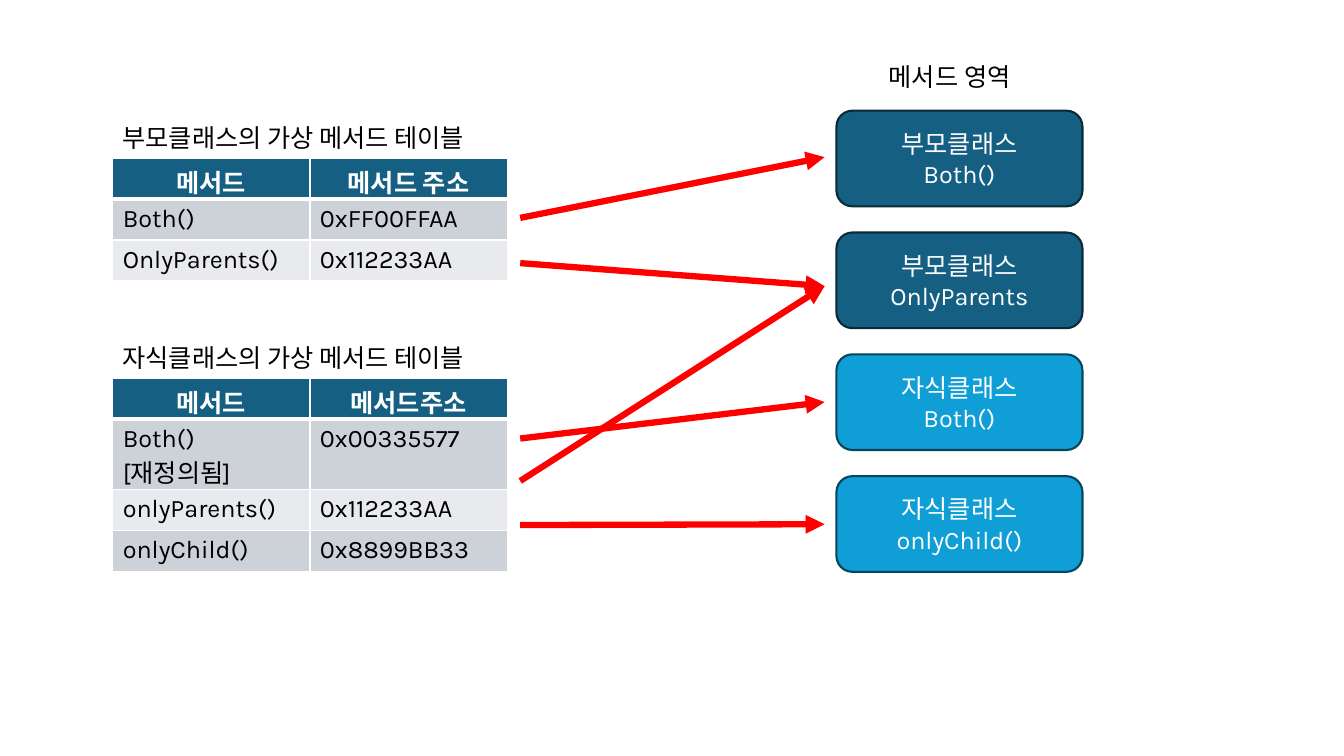
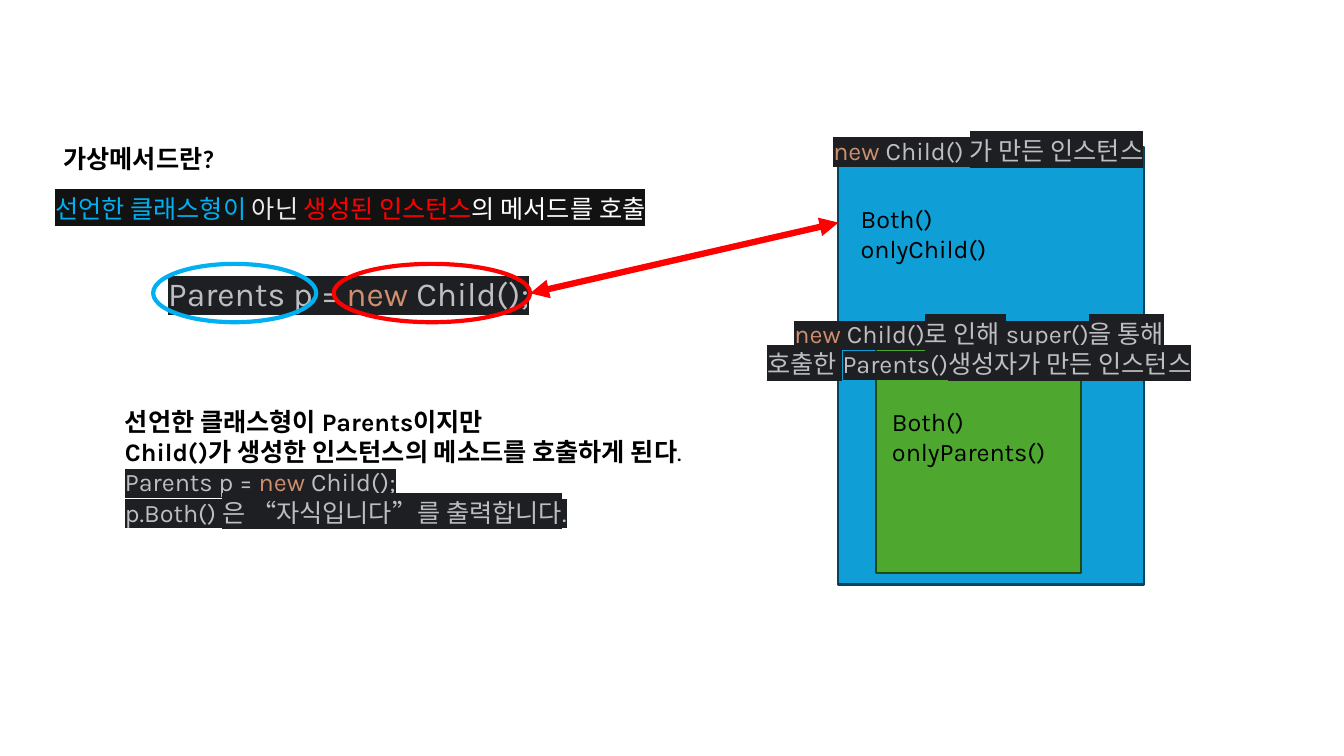
from dataclasses import dataclass
from lxml.etree import SubElement
from pptx import Presentation
from pptx.dml.color import RGBColor
from pptx.enum.shapes import MSO_CONNECTOR, MSO_SHAPE
from pptx.enum.text import MSO_ANCHOR, MSO_AUTO_SIZE, PP_ALIGN
from pptx.oxml import parse_xml
from pptx.oxml.ns import nsdecls, qn
from pptx.util import Cm, Pt

BLACK = RGBColor(0x00, 0x00, 0x00)
WHITE = RGBColor(0xFF, 0xFF, 0xFF)
RED = RGBColor(0xFF, 0x00, 0x00)
SKY = RGBColor(0x00, 0xB0, 0xF0)
TEAL = RGBColor(0x15, 0x60, 0x82)
TEAL_EDGE = RGBColor(0x09, 0x2A, 0x39)
BLUE = RGBColor(0x0F, 0x9E, 0xD5)
BLUE_EDGE = RGBColor(0x07, 0x45, 0x5D)
GREEN = RGBColor(0x4E, 0xA7, 0x2E)
GREEN_EDGE = RGBColor(0x22, 0x49, 0x14)
BANDS = (RGBColor(0xCC, 0xD2, 0xD8), RGBColor(0xE8, 0xEA, 0xED))
KEYWORD = RGBColor(0xCF, 0x8E, 0x6D)
CODE = RGBColor(0xBC, 0xBE, 0xC4)
PALE = RGBColor(0xEC, 0xEC, 0xEC)
EDITOR = RGBColor(0x1E, 0x1F, 0x22)
INK = RGBColor(0x12, 0x12, 0x12)


@dataclass
class Span:
    text: str
    color: RGBColor = CODE
    shade: RGBColor = EDITOR


NEW = Span("new ", KEYWORD)

TABLE_LEFT, TABLE_WIDTH, ROW_HEIGHT = 2.84, 9.94, 1.03
CAPTION_RISE = 1.03
METHOD_TABLES = [
    (3.99, "부모클래스의 가상 메서드 테이블", [
        ("메서드", "메서드 주소"),
        ("Both()", "0xFF00FFAA"),
        ("OnlyParents()", "0x112233AA"),
    ]),
    (9.53, "자식클래스의 가상 메서드 테이블", [
        ("메서드", "메서드주소"),
        ("Both()\v[재정의됨]", "0x00335577"),
        ("onlyParents()", "0x112233AA"),
        ("onlyChild()", "0x8899BB33"),
    ]),
]

METHOD_LEFT, METHOD_TOP, METHOD_PITCH = 21.08, 2.79, 3.07
METHOD_SIZE = (6.2, 2.41)
METHODS = [
    ("부모클래스", "Both()", TEAL, TEAL_EDGE),
    ("부모클래스", "OnlyParents", TEAL, TEAL_EDGE),
    ("자식클래스", "Both()", BLUE, BLUE_EDGE),
    ("자식클래스", "onlyChild()", BLUE, BLUE_EDGE),
]
ARROW_LEFT, ARROW_RIGHT = 13.11, 20.78
ARROW_HEIGHTS = [(5.49, 3.96), (6.63, 7.21), (11.05, 10.13), (12.12, 7.21), (13.23, 13.21)]

INSTANCES = [
    (21.13, 3.71, 7.7, 11.02, BLUE, BLUE_EDGE),
    (22.07, 8.61, 5.18, 5.82, GREEN, GREEN_EDGE),
]
RINGS = [(3.86, 6.65, 4.11, 1.47, SKY), (8.41, 6.65, 4.95, 1.47, RED)]

INSTANCE_TEXTS = [
    ((20.75, 3.28, 16.94, 1.02), [[NEW, Span("Child() 가 만든 인스턴스")]], {}),
    ((16.21, 7.9, 16.94, 1.8), [
        [NEW, Span("Child()로 인해 super()을 통해")],
        [Span("호출한 Parents()생성자가 만든 인스턴스")],
    ], {"align": PP_ALIGN.CENTER}),
    ((21.44, 5.0, 6.07, 1.8), ["Both()", "onlyChild()"], {}),
    ((22.23, 10.11, 6.07, 1.8), ["Both()", "onlyParents()"], {}),
    ((3.99, 6.76, 16.94, 1.27), [[Span("Parents p = "), NEW, Span("Child();")]], {"size": 24}),
]
EXPLANATION_TEXTS = [
    ((1.14, 4.75, 18.11, 1.02), [[
        Span("선언한 클래스형이 ", SKY, INK),
        Span("아닌 ", PALE, INK),
        Span("생성된 인스턴스", RED, INK),
        Span("의 메서드를 호출", WHITE, INK),
    ]], {"font": "Calibri"}),
    ((1.35, 3.48, 18.85, 1.02), ["가상메서드란?"], {"font": "Calibri", "bold": True}),
    ((2.9, 10.11, 15.77, 4.11), [
        "선언한 클래스형이 Parents이지만",
        ["Child()가 생성한 인스턴스의 메소드를 호출하게 된다", Span(".", BLACK, None)],
        [Span("Parents p = "), NEW, Span("Child();")],
        [Span("p.Both() 은 “자식입니다”를 출력합니다.")],
    ], {"bold": True}),
]


def add_span(para, span):
    run = para.add_run()
    if isinstance(span, str):
        run.text = span
        return
    run.text = span.text
    run.font.color.rgb = span.color
    run.font.bold = False
    if span.shade is not None:
        highlight = SubElement(run.font.fill._xPr, qn("a:highlight"))
        SubElement(highlight, qn("a:srgbClr"), val=str(span.shade))


def write(frame, lines, size=18, font="Karla", color=BLACK, bold=False, align=PP_ALIGN.LEFT):
    for index, line in enumerate(lines):
        para = frame.paragraphs[0] if index == 0 else frame.add_paragraph()
        para.alignment = align
        para.font.size = Pt(size)
        para.font.name = font
        para.font.bold = bold
        para.font.color.rgb = color
        if isinstance(line, str):
            para.text = line
        else:
            for span in line:
                add_span(para, span)


def add_text(page, place, lines, **style):
    box = page.shapes.add_textbox(*map(Cm, place))
    box.text_frame.word_wrap = True
    box.text_frame.auto_size = MSO_AUTO_SIZE.SHAPE_TO_FIT_TEXT
    write(box.text_frame, lines, **style)


def add_figure(page, preset, place, fill, edge, width=1.5):
    shape = page.shapes.add_shape(preset, *map(Cm, place))
    shape.shadow.inherit = False
    if fill is None:
        shape.fill.background()
    else:
        shape.fill.solid()
        shape.fill.fore_color.rgb = fill
    shape.line.color.rgb = edge
    shape.line.width = Pt(width)
    return shape


def add_arrow(page, start, end, both_ends=False):
    arrow = page.shapes.add_connector(MSO_CONNECTOR.STRAIGHT, *map(Cm, start + end))
    arrow.line.color.rgb = RED
    arrow.line.width = Pt(4.5)
    outline = arrow.line._get_or_add_ln()
    for tag in ("a:headEnd", "a:tailEnd") if both_ends else ("a:tailEnd",):
        SubElement(outline, qn(tag), type="triangle")
    SubElement(arrow._element.spPr, qn("a:effectLst"))


def set_borders(cell, bottom):
    properties = cell._tc.get_or_add_tcPr()
    widths = {"lnL": 1, "lnR": 1, "lnT": 1, "lnB": bottom}
    for index, (side, width) in enumerate(widths.items()):
        properties.insert(index, parse_xml(
            f'<a:{side} {nsdecls("a")} w="{Pt(width)}"><a:solidFill>'
            f'<a:srgbClr val="{WHITE}"/></a:solidFill></a:{side}>'))


def add_method_table(page, top, caption, rows):
    add_text(page, (TABLE_LEFT, top - CAPTION_RISE, TABLE_WIDTH, 1.02), [caption])
    place = (TABLE_LEFT, top, TABLE_WIDTH, ROW_HEIGHT * len(rows))
    table = page.shapes.add_table(len(rows), len(rows[0]), *map(Cm, place)).table
    for row_index, row in enumerate(rows):
        header = row_index == 0
        for column_index, text in enumerate(row):
            cell = table.cell(row_index, column_index)
            cell.fill.solid()
            cell.fill.fore_color.rgb = TEAL if header else BANDS[(row_index - 1) % 2]
            set_borders(cell, 3 if header else 1)
            write(cell.text_frame, [text], color=WHITE if header else BLACK, bold=header,
                  align=PP_ALIGN.CENTER if header else PP_ALIGN.LEFT)


def build_method_tables(page):
    for top, caption, rows in METHOD_TABLES:
        add_method_table(page, top, caption, rows)
    add_text(page, (22.15, 1.42, 4.88, 1.02), ["메서드 영역"])
    for index, (owner, method, fill, edge) in enumerate(METHODS):
        place = (METHOD_LEFT, METHOD_TOP + index * METHOD_PITCH) + METHOD_SIZE
        shape = add_figure(page, MSO_SHAPE.ROUNDED_RECTANGLE, place, fill, edge)
        shape.text_frame.vertical_anchor = MSO_ANCHOR.MIDDLE
        write(shape.text_frame, [owner, method], color=WHITE, align=PP_ALIGN.CENTER)
    for start, end in ARROW_HEIGHTS:
        add_arrow(page, (ARROW_LEFT, start), (ARROW_RIGHT, end))


def build_virtual_method(page):
    for *place, fill, edge in INSTANCES:
        add_figure(page, MSO_SHAPE.RECTANGLE, place, fill, edge)
    for place, lines, style in INSTANCE_TEXTS:
        add_text(page, place, lines, **style)
    for *place, edge in RINGS:
        add_figure(page, MSO_SHAPE.OVAL, place, None, edge, 3)
    for place, lines, style in EXPLANATION_TEXTS:
        add_text(page, place, lines, **style)
    add_arrow(page, (13.36, 7.39), (21.13, 5.61), both_ends=True)


def main():
    deck = Presentation()
    deck.slide_width, deck.slide_height = Cm(33.87), Cm(19.05)
    for build in (build_method_tables, build_virtual_method):
        build(deck.slides.add_slide(deck.slide_layouts[6]))
    deck.save("out.pptx")


if __name__ == "__main__":
    main()
